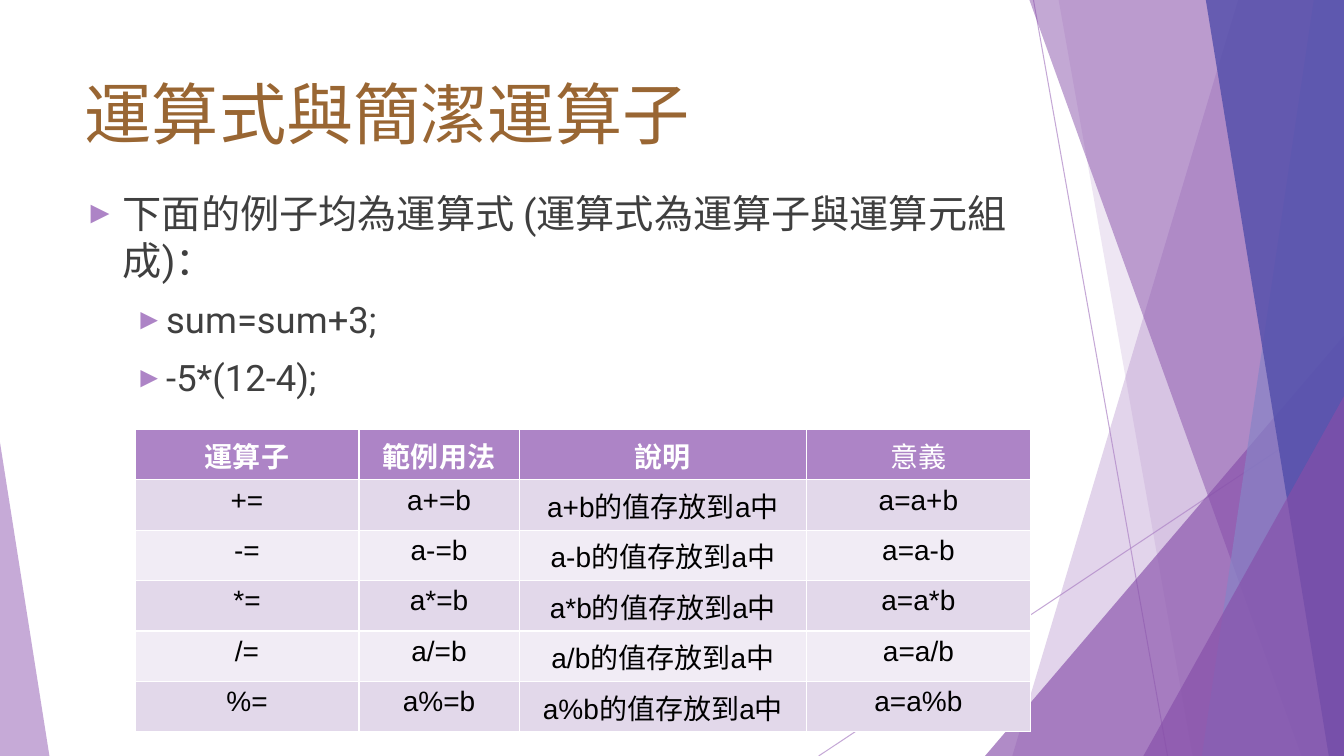
from lxml import etree
from pptx import Presentation
from pptx.dml.color import RGBColor
from pptx.enum.shapes import MSO_CONNECTOR, MSO_SHAPE
from pptx.enum.text import MSO_ANCHOR, MSO_AUTO_SIZE, PP_ALIGN
from pptx.oxml.ns import qn
from pptx.util import Inches, Pt

LINE, TRIANGLE = MSO_CONNECTOR.STRAIGHT, MSO_SHAPE.ISOSCELES_TRIANGLE
TOP, LEFT, CENTER = MSO_ANCHOR.TOP, PP_ALIGN.LEFT, PP_ALIGN.CENTER
NO_FIT = MSO_AUTO_SIZE.NONE

WIDE, HIGH = 13.33, 7.5
TITLE = "運算式與簡潔運算⼦"
POINTS = [
    (0, "下面的例子均為運算式 (運算式為運算子與運算元組成)："),
    (1, "sum=sum+3;"),
    (1, "-5*(12-4);"),
]
HEADS = [("運算⼦", "head", True), ("範例用法", "cell", True),
         ("說明", "cell", True), ("意義", "cell", False)]
SIGNS = "+-*/%"
COLS = [2.22, 1.59, 2.85, 2.22]
ROW = 0.5

THEME = {
    "title": "996633", "text": "3F3F3F", "lilac": "AD84C6", "plum": "864EA9",
    "haze": "8784C7", "indigo": "514DAA", "white": "FFFFFF", "black": "000000",
    "bands": ("E2D8EA", "F1ECF5"),
    "font": {"title": "Roboto", "body": "Roboto", "head": "Roboto", "cell": "Arial"},
    "size": {"title": 48, "body": (28, 26), "cell": 20},
}
LEVELS = [{"left": 0.38, "hang": 0.38, "gap": 0},
          {"left": 0.81, "hang": 0.31, "gap": 10}]

RAYS = [(10.25, 0, 11.58, HIGH), (WIDE, 4.03, 8.12, HIGH)]
SHARDS = [
    ("wedge", (12.28, 10.04), "lilac", 35),
    ("wedge", (10.5, 11.83), "lilac", 20),
    ("peak", (9.77, 3.33, 3.56, 1), "plum", 65),
    ("wedge", (10.21, 12.91), "plum", 49),
    ("wedge", (13.03, 11.92), "haze", 69),
    ("wedge", (11.96, 13.18), "indigo", 80),
    ("peak", (11.34, 3.93, 1.99, 1), "plum", 65),
    ("peak", (0, 4.39, 0.49, 0), "lilac", 69),
]


def paint(name):
    return RGBColor.from_string(THEME.get(name, name))


def veil(shape, alpha):
    for tint in shape.element.iter(qn("a:srgbClr")):
        etree.SubElement(tint, qn("a:alpha"), val=str(alpha * 1000))


def style(par, face, size, tint, bold=False):
    font = par.font
    font.name, font.size, font.bold = THEME["font"][face], Pt(size), bold
    font.color.rgb = paint(tint)


def place(shape, left, top, width, height):
    shape.left, shape.top = Inches(left), Inches(top)
    shape.width, shape.height = Inches(width), Inches(height)


def wedge(shapes, top, foot):
    spots = [(Inches(x), Inches(y)) for x, y in
             ((top, 0), (WIDE, 0), (WIDE, HIGH), (foot, HIGH))]
    pen = shapes.build_freeform(*spots[0])
    pen.add_line_segments(spots[1:], close=True)
    return pen.convert_to_shape()


def peak(shapes, left, top, width, lean):
    box = [Inches(n) for n in (left, top, width, HIGH - top)]
    shape = shapes.add_shape(TRIANGLE, *box)
    shape.adjustments[0] = lean
    return shape


def draw_back(shapes):
    for ray in RAYS:
        line = shapes.add_connector(LINE, *map(Inches, ray))
        line.line.color.rgb, line.line.width = paint("lilac"), Pt(0.75)
        veil(line, 69)
        etree.SubElement(line.element.spPr, qn("a:effectLst"))
    makers = {"wedge": wedge, "peak": peak}
    for kind, spots, tint, alpha in SHARDS:
        shape = makers[kind](shapes, *spots)
        shape.shadow.inherit = False
        shape.fill.solid()
        shape.fill.fore_color.rgb = paint(tint)
        shape.line.fill.background()
        veil(shape, alpha)


def draw_title(shapes):
    title = shapes.title
    shapes.element.append(title.element)
    place(title, 0.74, 0.67, 10, 0.83)
    frame = title.text_frame
    frame.text = TITLE
    frame.vertical_anchor, frame.auto_size = TOP, NO_FIT
    par = frame.paragraphs[0]
    par.alignment = LEFT
    style(par, "title", THEME["size"]["title"], "title")


def add_bullet(par, left, hang):
    props = par._p.get_or_add_pPr()
    props.set("marL", str(Inches(left)))
    props.set("indent", str(-Inches(hang)))
    tint = etree.SubElement(props, qn("a:buClr"))
    etree.SubElement(tint, qn("a:srgbClr"), val=THEME["lilac"])
    etree.SubElement(props, qn("a:buSzPct"), val="80000")
    etree.SubElement(props, qn("a:buFont"), typeface="Arial")
    etree.SubElement(props, qn("a:buChar"), char="►")


def draw_body(shapes):
    box = shapes.add_textbox(*map(Inches, (0.74, 1.83, 9.49, 5.67)))
    frame = box.text_frame
    frame.word_wrap = True
    for i, (level, text) in enumerate(POINTS):
        par = frame.add_paragraph() if i else frame.paragraphs[0]
        rule = LEVELS[level]
        par.text, par.level = text, level
        add_bullet(par, rule["left"], rule["hang"])
        par.space_before = Pt(rule["gap"])
        style(par, "body", THEME["size"]["body"][level], "text")


def fill_cell(cell, text, face, back, tint, bold):
    cell.fill.solid()
    cell.fill.fore_color.rgb = paint(back)
    cell.text = text
    par = cell.text_frame.paragraphs[0]
    par.alignment = CENTER
    style(par, face, THEME["size"]["cell"], tint, bold)


def draw_table(shapes):
    rows = len(SIGNS) + 1
    box = [Inches(n) for n in (1.34, 4.26, sum(COLS), ROW * rows)]
    table = shapes.add_table(rows, len(COLS), *box).table
    for col, width in zip(table.columns, COLS):
        col.width = Inches(width)
    for c, (text, face, bold) in enumerate(HEADS):
        fill_cell(table.cell(0, c), text, face, "lilac", "white", bold)
    for r, sign in enumerate(SIGNS, 1):
        texts = (f"{sign}=", f"a{sign}=b", f"a{sign}b的值存放到a中", f"a=a{sign}b")
        back = THEME["bands"][(r - 1) % 2]
        for c, text in enumerate(texts):
            fill_cell(table.cell(r, c), text, "cell", back, "black", False)


def main():
    """Build the slide on expressions and compound operators."""
    deck = Presentation()
    deck.slide_width, deck.slide_height = Inches(WIDE), Inches(HIGH)
    shapes = deck.slides.add_slide(deck.slide_layouts[5]).shapes
    draw_back(shapes)
    draw_title(shapes)
    draw_body(shapes)
    draw_table(shapes)
    deck.save("out.pptx")


if __name__ == "__main__":
    main()
